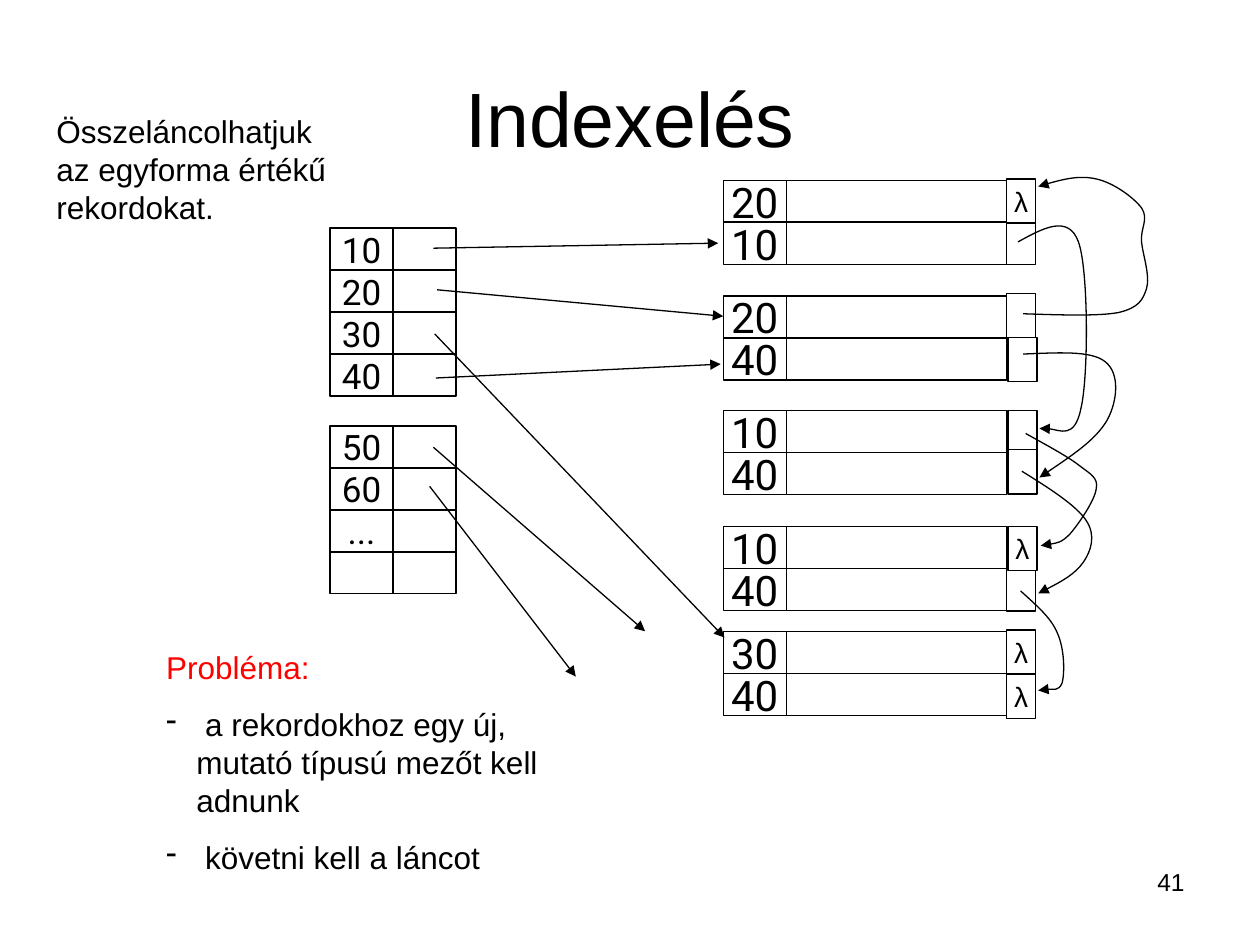
from lxml.etree import SubElement as Sub
from pptx import Presentation
from pptx.dml.color import RGBColor as Rgb
from pptx.enum.shapes import MSO_CONNECTOR as Conn, MSO_SHAPE as Kind
from pptx.enum.text import MSO_ANCHOR as Anchor, PP_ALIGN as Align
from pptx.oxml.ns import qn
from pptx.util import Inches, Pt

HUES = {"ink": "000000", "paper": "FFFFFF", "alert": "FF0000"}
ROW = 1 / 3


def hue(name):
    return Rgb.from_string(HUES[name])


def write(para, text, size, font="Arial", color="ink"):
    run = para.add_run()
    run.text = text
    run.font.size = Pt(size)
    run.font.name = font
    run.font.color.rgb = hue(color)


def ink(line):
    line.color.rgb = hue("ink")
    line.width = Pt(0.75)


def tip(shape):
    ink(shape.line)
    props = shape._element.spPr
    Sub(props.find(qn("a:ln")), qn("a:tailEnd"), type="triangle")
    if props.find(qn("a:effectLst")) is None:
        Sub(props, qn("a:effectLst"))


def cell(shapes, box, text="", size=16, font="Arial"):
    rect = shapes.add_shape(Kind.RECTANGLE, *map(Inches, box))
    rect.shadow.inherit = False
    rect.fill.solid()
    rect.fill.fore_color.rgb = hue("paper")
    ink(rect.line)
    if text:
        frame = rect.text_frame
        frame.word_wrap = False
        frame.vertical_anchor = Anchor.MIDDLE
        para = frame.paragraphs[0]
        para.alignment = Align.CENTER
        write(para, text, size, font)


def grid(slide, box, keys, size):
    left, top, width = box
    shapes = slide.shapes.add_group_shape().shapes
    for row, key in enumerate(keys):
        y = top + row * ROW
        cell(shapes, (left, y, 0.5, ROW), key, size, "Roboto")
        cell(shapes, (left + 0.5, y, width - 0.5, ROW))


def links(slide, box, marks):
    left, top, width, height = box
    for x, y, text in marks:
        cell(slide.shapes, (left + x, top + y, width, height), text)


def arrow(slide, start, end):
    line = slide.shapes.add_connector(Conn.STRAIGHT, *map(Inches, start + end))
    tip(line)


def curve(slide, points):
    start, *rest = [(Inches(x), Inches(y)) for x, y in points]
    pen = slide.shapes.build_freeform(*start)
    pen.add_line_segments(rest, close=False)
    shape = pen.convert_to_shape()
    shape.shadow.inherit = False
    shape.fill.background()
    route = next(shape._element.iter(qn("a:path")))
    steps = route.findall(qn("a:lnTo"))
    for at in range(0, len(steps), 3):
        bend = Sub(route, qn("a:cubicBezTo"))
        for step in steps[at:at + 3]:
            bend.append(step[0])
            route.remove(step)
    tip(shape)


def label(slide, box, text, size, align=Align.LEFT, anchor=Anchor.TOP):
    frame = slide.shapes.add_textbox(*map(Inches, box)).text_frame
    frame.word_wrap = True
    frame.vertical_anchor = anchor
    para = frame.paragraphs[0]
    para.alignment = align
    write(para, text, size)


def issues(slide, box, head, items):
    frame = slide.shapes.add_textbox(*map(Inches, box)).text_frame
    frame.word_wrap = True
    write(frame.paragraphs[0], head, 18, color="alert")
    for item in items:
        para = frame.add_paragraph()
        props = para._p.get_or_add_pPr()
        props.set("marL", str(Inches(0.24)))
        props.set("indent", str(Inches(-0.24)))
        Sub(props, qn("a:buChar"), char="-")
        para.space_before = Pt(11.2)
        write(para, item, 18)


RECORDS = [
    (1.43, ["20", "10"]), (2.35, ["20", "40"]), (3.26, ["10", "40"]),
    (4.18, ["10", "40"]), (5.01, ["30", "40"]),
]
INDEX = [
    (1.81, ["10", "20", "30", "40"]),
    (3.38, ["50", "60", "...", ""]),
]
ARROWS = [
    ((3.44, 1.97), (5.7, 1.93)), ((3.47, 2.3), (5.74, 2.51)),
    ((3.45, 2.65), (5.75, 5.06)), ((3.46, 3), (5.72, 2.89)),
    ((3.44, 3.55), (5.12, 5.01)), ((3.41, 3.86), (4.57, 5.37)),
]
MARKS = [
    (0, 0.33, ""), (0, 0, "λ"), (0, 0.91, ""), (0.01, 1.26, ""),
    (0.01, 1.84, ""), (0.01, 2.15, ""), (0, 3.58, "λ"), (0, 3.08, ""),
    (0.01, 2.76, "λ"), (0, 3.93, "λ"),
]
CURVES = [
    [(8.08, 1.92), (8.28, 1.81), (8.48, 1.7), (8.56, 1.92), (8.64, 2.14),
     (8.64, 2.99), (8.58, 3.24), (8.53, 3.49), (8.31, 3.38), (8.25, 3.4)],
    [(8.12, 2.49), (8.42, 2.5), (8.72, 2.51), (8.88, 2.48), (9.04, 2.44),
     (9.07, 2.38), (9.1, 2.29), (9.13, 2.19), (9.07, 2.02), (9.06, 1.92),
     (9.05, 1.81), (9.12, 1.74), (9.06, 1.65), (9, 1.57), (8.84, 1.45),
     (8.7, 1.42), (8.57, 1.39), (8.4, 1.43), (8.24, 1.48)],
    [(8.12, 2.81), (8.39, 2.8), (8.66, 2.78), (8.77, 2.87), (8.89, 2.96),
     (8.87, 3.18), (8.79, 3.33), (8.7, 3.49), (8.47, 3.64), (8.25, 3.79)],
    [(8.11, 3.74), (8.32, 3.87), (8.54, 4.01), (8.62, 4.13), (8.7, 4.25),
     (8.66, 4.37), (8.6, 4.46), (8.53, 4.56), (8.38, 4.64), (8.24, 4.71)],
    [(8.1, 4.69), (8.22, 4.8), (8.34, 4.9), (8.39, 5.02), (8.45, 5.15),
     (8.45, 5.34), (8.43, 5.42), (8.4, 5.49), (8.27, 5.46), (8.24, 5.48)],
    [(8.14, 3.44), (8.3, 3.53), (8.47, 3.62), (8.56, 3.69), (8.65, 3.76),
     (8.72, 3.79), (8.7, 3.88), (8.69, 3.97), (8.56, 4.16), (8.49, 4.24),
     (8.42, 4.31), (8.34, 4.32), (8.26, 4.33)],
]


def main():
    deck = Presentation()
    deck.slide_width, deck.slide_height = Inches(10), Inches(7.5)
    slide = deck.slides.add_slide(deck.slide_layouts[6])
    label(slide, (7.17, 6.83, 2.33, 0.52), "41", 14, Align.RIGHT)
    for top, keys in RECORDS:
        grid(slide, (5.74, top, 2.25), keys, 24)
    for top, keys in INDEX:
        grid(slide, (2.62, top, 1), keys, 20)
    for start, end in ARROWS:
        arrow(slide, start, end)
    links(slide, (7.99, 1.42, 0.23, 0.35), MARKS)
    for points in CURVES:
        curve(slide, points)
    label(slide, (0.5, 0.3, 9, 1.25), "Indexelés", 44, Align.CENTER, Anchor.MIDDLE)
    label(slide, (0.35, 0.84, 2.36, 1),
          "Összeláncolhatjuk az egyforma értékű rekordokat.", 18)
    issues(slide, (1.22, 5.09, 3.23, 1.92), "Probléma:", [
        " a rekordokhoz egy új, mutató típusú mezőt kell adnunk",
        " követni kell a láncot",
    ])
    deck.save("out.pptx")


if __name__ == "__main__":
    main()
